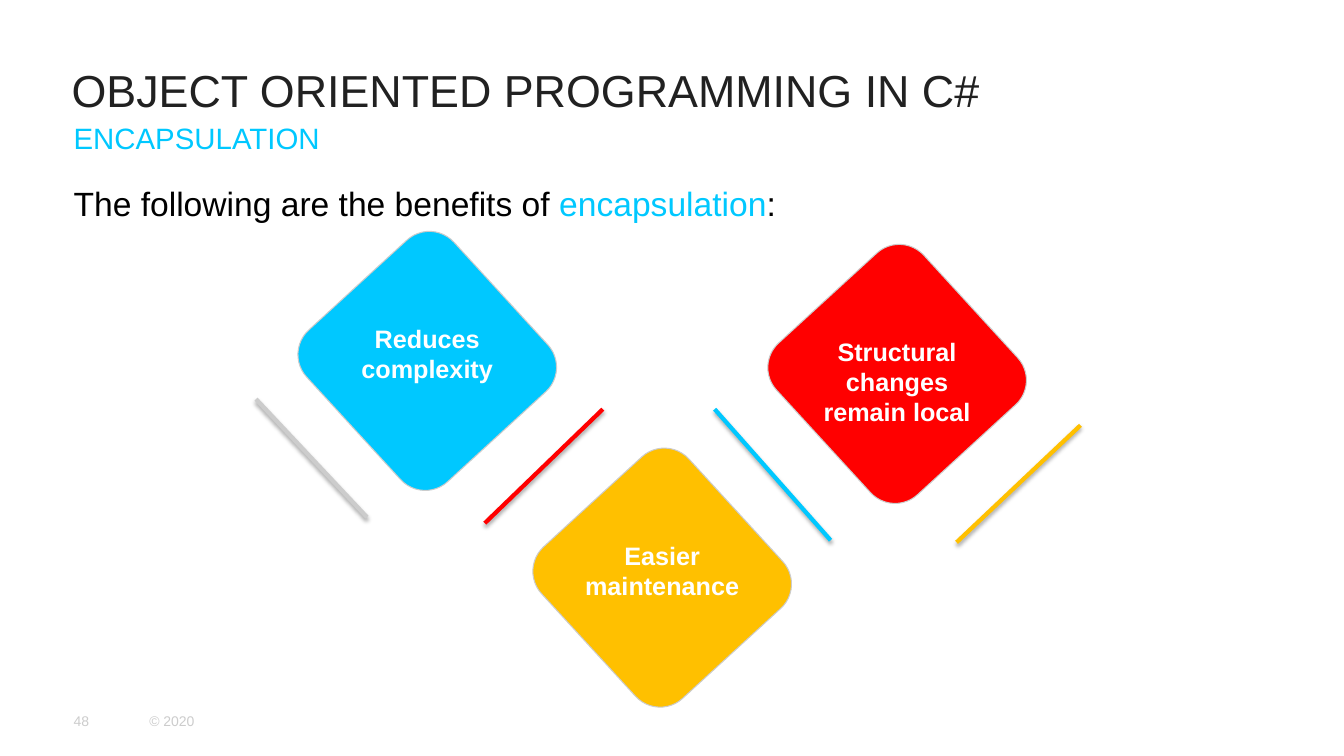
from lxml import etree
from pptx import Presentation
from pptx.dml.color import RGBColor
from pptx.enum.shapes import MSO_CONNECTOR, MSO_SHAPE
from pptx.enum.text import MSO_ANCHOR, MSO_AUTO_SIZE, PP_ALIGN
from pptx.oxml.ns import qn
from pptx.util import Pt

STRAIGHT = MSO_CONNECTOR.STRAIGHT
ROUNDED = MSO_SHAPE.ROUNDED_RECTANGLE
TOP, MIDDLE, BOTTOM = MSO_ANCHOR.TOP, MSO_ANCHOR.MIDDLE, MSO_ANCHOR.BOTTOM
LEFT, CENTER = PP_ALIGN.LEFT, PP_ALIGN.CENTER
NO_AUTOFIT = MSO_AUTO_SIZE.NONE
CYAN, AMBER, RED, GREY = "00C8FF", "FFC000", "FF0000", "CCCCCC"
BLACK, WHITE, CHARCOAL = "000000", "FFFFFF", "212121"


def rgb(value):
    return RGBColor.from_string(value)


class BenefitSlide:
    """Draws styled elements on one slide, with all lengths in points."""

    font_name = "Arial"
    diamond_size = (146.9, 142.6)
    diamond_angle = 47.5

    def __init__(self, presentation):
        self.slide = presentation.slides.add_slide(presentation.slide_layouts[5])
        self.shapes = self.slide.shapes

    def fill_text(self, holder, runs, size, bold=False, anchor=TOP, align=LEFT):
        frame = holder.text_frame
        frame.word_wrap = True
        frame.auto_size = NO_AUTOFIT
        frame.vertical_anchor = anchor
        frame.margin_left = frame.margin_right = 0
        frame.margin_top = frame.margin_bottom = 0
        paragraph = frame.paragraphs[0]
        paragraph.alignment = align
        paragraph.font.name = self.font_name
        paragraph.font.size = Pt(size)
        paragraph.font.bold = bold
        for words, color in runs:
            run = paragraph.add_run()
            run.text = words
            run.font.color.rgb = rgb(color)

    def title(self, words, left, top, width, height):
        heading = self.shapes.title
        heading.left, heading.top = Pt(left), Pt(top)
        heading.width, heading.height = Pt(width), Pt(height)
        self.fill_text(heading, [(words, CHARCOAL)], 32, anchor=BOTTOM)

    def text(self, runs, left, top, width, height, size, **style):
        box = self.shapes.add_textbox(Pt(left), Pt(top), Pt(width), Pt(height))
        self.fill_text(box, runs, size, **style)

    def diamond(self, words, left, top, color):
        width, height = self.diamond_size
        tile = self.shapes.add_shape(ROUNDED, Pt(left), Pt(top), Pt(width), Pt(height))
        tile.rotation = self.diamond_angle
        tile.shadow.inherit = False
        tile.fill.solid()
        tile.fill.fore_color.rgb = rgb(color)
        tile.line.color.rgb = rgb(GREY)
        tile.line.width = Pt(0.75)
        self.text([(words, WHITE)], left + 7.4, top + 44.4, width - 15, 41.8, 18,
                  bold=True, align=CENTER)

    def line(self, start, end, color):
        bar = self.shapes.add_connector(STRAIGHT, *map(Pt, start + end))
        bar.line.color.rgb = rgb(color)
        bar.line.width = Pt(3)
        effects = etree.SubElement(bar._element.spPr, qn("a:effectLst"))
        shadow = etree.SubElement(effects, qn("a:outerShdw"), blurRad=str(Pt(3.1)),
                                  dist=str(Pt(1.8)), dir="5400000", rotWithShape="0")
        shade = etree.SubElement(shadow, qn("a:srgbClr"), val=BLACK)
        etree.SubElement(shade, qn("a:alpha"), val="35000")


def main():
    presentation = Presentation()
    presentation.slide_width, presentation.slide_height = Pt(960), Pt(540)
    page = BenefitSlide(presentation)

    page.text([("© 2020", GREY)], 106.6, 500.4, 77.8, 28.8, 10, anchor=MIDDLE)
    page.text([("48", GREY)], 52.6, 500.4, 53.3, 28.8, 10, anchor=MIDDLE)
    page.title("OBJECT ORIENTED PROGRAMMING IN C#", 51.1, 0.7, 856.8, 82.8)
    page.text([("ENCAPSULATION", CYAN)], 52.6, 85.8, 854.6, 28.7, 21)
    page.text([("The following are the benefits of ", BLACK),
               ("encapsulation", CYAN), (":", BLACK)], 52.6, 130.4, 854.6, 40, 24)

    benefits = [
        ("Reduces complexity", 186.5, CYAN),
        ("Easier maintenance", 341.3, AMBER),
        ("Structural changes remain local", 195.8, RED),
    ]
    for column, (benefit, top, color) in enumerate(benefits):
        page.diamond(benefit, 231.8 + column * 167.8, top, color)

    dividers = [
        ((346.3, 373.7), (430.6, 292.3), RED),
        ((510.5, 292.3), (593.3, 385.9), CYAN),
        ((683.3, 387.4), (771.8, 303.8), AMBER),
        ((262.1, 369.4), (182.9, 285.1), GREY),
    ]
    for start, end, color in dividers:
        page.line(start, end, color)

    presentation.save("out.pptx")


if __name__ == "__main__":
    main()
